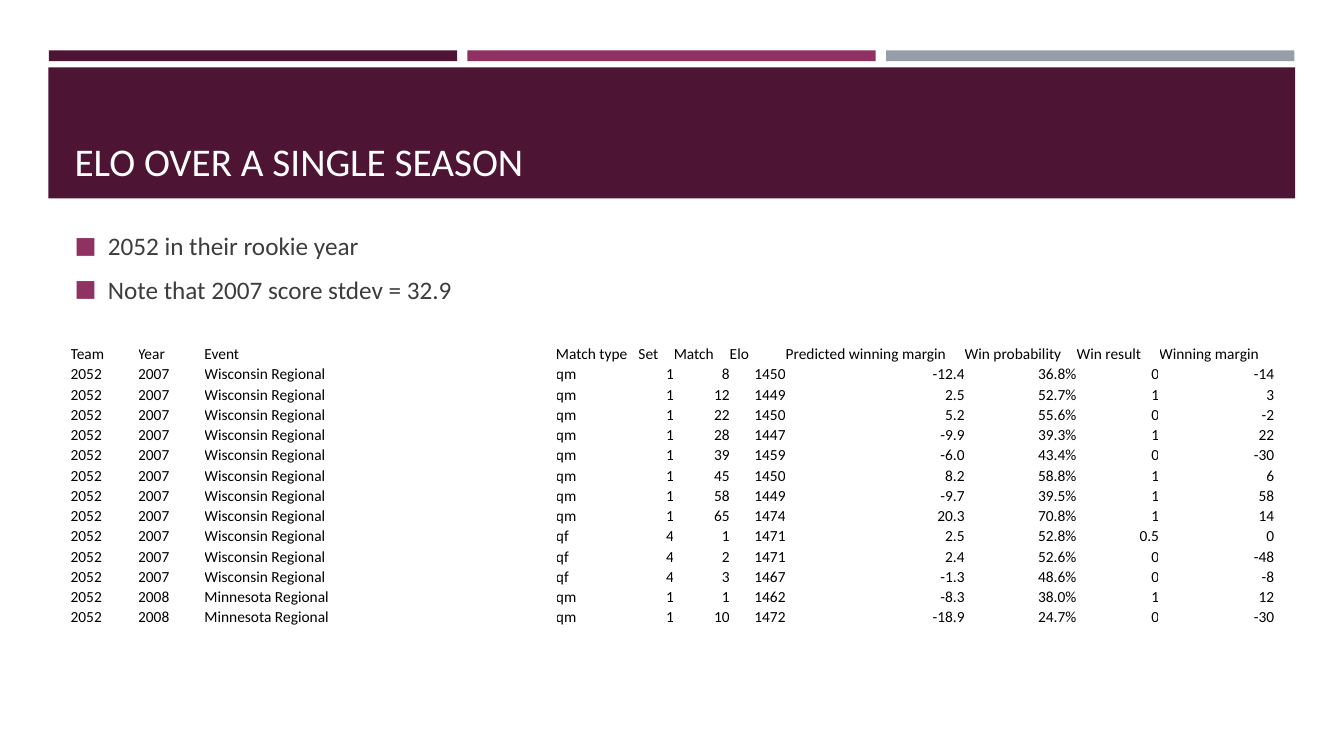
"""Build the slide on Elo ratings over a single season."""
from dataclasses import dataclass
from typing import Any

from lxml.etree import SubElement
from pptx import Presentation
from pptx.dml.color import RGBColor
from pptx.enum.shapes import MSO_SHAPE
from pptx.enum.text import MSO_ANCHOR, PP_ALIGN
from pptx.oxml.ns import qn
from pptx.util import Cm, Pt

COLORS = {
    "plum": "4D1434",
    "magenta": "903163",
    "gray": "969FA7",
    "white": "FFFFFF",
    "body": "3D3D3D",
    "black": "000000",
}


@dataclass
class Box:
    left: float
    top: float
    width: float
    height: float

    def lengths(self) -> list[Cm]:
        return [Cm(value) for value in (self.left, self.top, self.width, self.height)]


@dataclass
class Style:
    size: float
    color: str


@dataclass
class Column:
    heading: str
    width: float
    numeric: bool = True


TITLE_STYLE = Style(28, "white")
BODY_STYLE = Style(18, "body")
TABLE_STYLE = Style(11, "black")

BAR_LEFT, BAR_PITCH, BAR_WIDTH = 1.23, 10.55, 10.29
BANNER = Box(1.22, 1.7, 31.42, 3.3)
TITLE_BOX = Box(1.63, 1.96, 30.63, 2.82)
BODY_BOX = Box(1.63, 5.54, 30.63, 2.39)
TABLE_LEFT, TABLE_TOP, ROW_HEIGHT = 1.78, 8.66, 0.51

BULLETS = ["2052 in their rookie year", "Note that 2007 score stdev = 32.9"]
BULLET_FORMAT = {"space_before": Pt(3.6), "space_after": Pt(6)}
CELL_FORMAT = {
    "margin_left": 0,
    "margin_right": 0,
    "margin_top": 0,
    "margin_bottom": 0,
    "vertical_anchor": MSO_ANCHOR.BOTTOM,
}
TABLE_FORMAT = {"first_row": False, "horz_banding": False}

COLUMNS = [
    Column("Team", 1.7, False),
    Column("Year", 1.67, False),
    Column("Event", 8.86, False),
    Column("Match type", 2.08, False),
    Column("Set", 0.89),
    Column("Match", 1.41),
    Column("Elo", 1.41),
    Column("Predicted winning margin", 4.51),
    Column("Win probability", 2.82),
    Column("Win result", 2.08),
    Column("Winning margin", 2.9),
]
TEAM = "2052"
WISCONSIN = ("2007", "Wisconsin Regional")
MINNESOTA = ("2008", "Minnesota Regional")
MATCHES = [
    (*WISCONSIN, "qm", "1", "8", "1450", "-12.4", "36.8%", "0", "-14"),
    (*WISCONSIN, "qm", "1", "12", "1449", "2.5", "52.7%", "1", "3"),
    (*WISCONSIN, "qm", "1", "22", "1450", "5.2", "55.6%", "0", "-2"),
    (*WISCONSIN, "qm", "1", "28", "1447", "-9.9", "39.3%", "1", "22"),
    (*WISCONSIN, "qm", "1", "39", "1459", "-6.0", "43.4%", "0", "-30"),
    (*WISCONSIN, "qm", "1", "45", "1450", "8.2", "58.8%", "1", "6"),
    (*WISCONSIN, "qm", "1", "58", "1449", "-9.7", "39.5%", "1", "58"),
    (*WISCONSIN, "qm", "1", "65", "1474", "20.3", "70.8%", "1", "14"),
    (*WISCONSIN, "qf", "4", "1", "1471", "2.5", "52.8%", "0.5", "0"),
    (*WISCONSIN, "qf", "4", "2", "1471", "2.4", "52.6%", "0", "-48"),
    (*WISCONSIN, "qf", "4", "3", "1467", "-1.3", "48.6%", "0", "-8"),
    (*MINNESOTA, "qm", "1", "1", "1462", "-8.3", "38.0%", "1", "12"),
    (*MINNESOTA, "qm", "1", "10", "1472", "-18.9", "24.7%", "0", "-30"),
]


def apply_format(target: Any, values: dict[str, Any]) -> None:
    for name, value in values.items():
        setattr(target, name, value)


def write_text(paragraph: Any, text: str, style: Style) -> None:
    run = paragraph.add_run()
    run.text = text
    apply_format(run.font, {"name": "Calibri", "size": Pt(style.size)})
    run.font.color.rgb = RGBColor.from_string(COLORS[style.color])


def add_bar(slide: Any, box: Box, color: str) -> None:
    shape = slide.shapes.add_shape(MSO_SHAPE.RECTANGLE, *box.lengths())
    shape.shadow.inherit = False
    shape.fill.solid()
    shape.fill.fore_color.rgb = RGBColor.from_string(COLORS[color])
    shape.line.fill.background()


def add_bullet(paragraph: Any) -> None:
    properties = paragraph._p.get_or_add_pPr()
    indent = Cm(0.84)
    properties.set("marL", str(indent))
    properties.set("indent", str(-indent))
    color = SubElement(properties, qn("a:buClr"))
    SubElement(color, qn("a:srgbClr"), val=COLORS["magenta"])
    SubElement(properties, qn("a:buSzPct"), val="92000")
    SubElement(properties, qn("a:buFont"), typeface="Calibri")
    SubElement(properties, qn("a:buChar"), char="■")


def add_text(slide: Any, box: Box, lines: list[str], style: Style,
             anchor: MSO_ANCHOR, bulleted: bool = False) -> None:
    frame = slide.shapes.add_textbox(*box.lengths()).text_frame
    apply_format(frame, {"word_wrap": True, "vertical_anchor": anchor})
    for index, line in enumerate(lines):
        paragraph = frame.add_paragraph() if index else frame.paragraphs[0]
        if bulleted:
            apply_format(paragraph, BULLET_FORMAT)
            add_bullet(paragraph)
        write_text(paragraph, line, style)


def add_match_table(slide: Any) -> None:
    rows = [[column.heading for column in COLUMNS]]
    rows += [[TEAM, *match] for match in MATCHES]
    width = sum(column.width for column in COLUMNS)
    box = Box(TABLE_LEFT, TABLE_TOP, width, ROW_HEIGHT * len(rows))
    table = slide.shapes.add_table(len(rows), len(COLUMNS), *box.lengths()).table
    apply_format(table, TABLE_FORMAT)
    for index, column in enumerate(COLUMNS):
        table.columns[index].width = Cm(column.width)
    for row_index, row in enumerate(rows):
        table.rows[row_index].height = Cm(ROW_HEIGHT)
        for column_index, text in enumerate(row):
            cell = table.cell(row_index, column_index)
            apply_format(cell, CELL_FORMAT)
            cell.fill.background()
            paragraph = cell.text_frame.paragraphs[0]
            if row_index and COLUMNS[column_index].numeric:
                paragraph.alignment = PP_ALIGN.RIGHT
            write_text(paragraph, text, TABLE_STYLE)


def main() -> None:
    presentation = Presentation()
    apply_format(presentation, {"slide_width": Cm(33.87), "slide_height": Cm(19.05)})
    slide = presentation.slides.add_slide(presentation.slide_layouts[6])
    for index, color in enumerate(["plum", "magenta", "gray"]):
        add_bar(slide, Box(BAR_LEFT + index * BAR_PITCH, 1.27, BAR_WIDTH, 0.27), color)
    add_bar(slide, BANNER, "plum")
    add_text(slide, TITLE_BOX, ["ELO OVER A SINGLE SEASON"], TITLE_STYLE, MSO_ANCHOR.BOTTOM)
    add_text(slide, BODY_BOX, BULLETS, BODY_STYLE, MSO_ANCHOR.MIDDLE, bulleted=True)
    add_match_table(slide)
    presentation.save("out.pptx")


if __name__ == "__main__":
    main()
